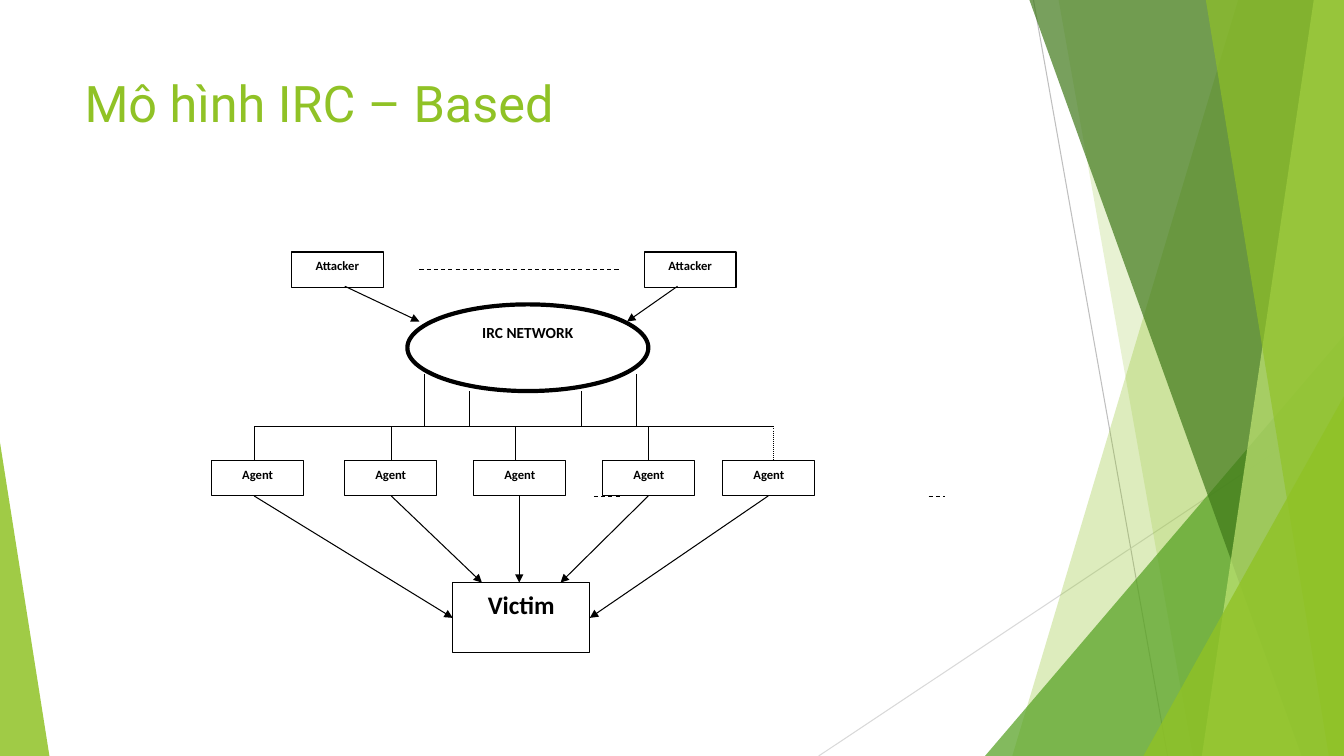
import pptx
import pptx.util
import pptx.dml.color
import pptx.enum.dml
import pptx.enum.shapes
import pptx.enum.text
import pptx.oxml.ns
import lxml.etree

Inches = pptx.util.Inches
Pt = pptx.util.Pt
RGBColor = pptx.dml.color.RGBColor
Shape = pptx.enum.shapes.MSO_SHAPE
Dash = pptx.enum.dml.MSO_LINE
qn = pptx.oxml.ns.qn

BLACK = RGBColor(0x00, 0x00, 0x00)
WHITE = RGBColor(0xFF, 0xFF, 0xFF)
GREY = RGBColor(0xBF, 0xBF, 0xBF)
PALE_GREY = RGBColor(0xD9, 0xD9, 0xD9)
LIME = RGBColor(0x90, 0xC2, 0x26)
GREEN = RGBColor(0x54, 0xA0, 0x21)
DARK_GREEN = RGBColor(0x3F, 0x78, 0x19)
LIGHT_LIME = RGBColor(0xC0, 0xE4, 0x74)

WIDTH, HEIGHT = 13.33, 7.5


class Painter:
    """Draws styled elements on the current page."""

    def __init__(self, page):
        self.page = page
        self.shapes = page.shapes

    def tint(self, shape, color, opacity):
        shape.shadow.inherit = False
        shape.fill.solid()
        shape.fill.fore_color.rgb = color
        shape.line.fill.background()
        swatch = shape.fill._xPr.find(qn("a:solidFill"))[0]
        lxml.etree.SubElement(swatch, qn("a:alpha"), val=str(opacity * 1000))

    def band(self, points, color, opacity):
        corners = [(Inches(x), Inches(y)) for x, y in points]
        builder = self.shapes.build_freeform(*corners[0], scale=1.0)
        builder.add_line_segments(corners[1:], close=True)
        self.tint(builder.convert_to_shape(), color, opacity)

    def triangle(self, left, top, width, apex, color, opacity):
        shape = self.shapes.add_shape(
            Shape.ISOSCELES_TRIANGLE, Inches(left), Inches(top),
            Inches(width), Inches(HEIGHT - top))
        shape.adjustments[0] = apex
        self.tint(shape, color, opacity)

    def line(self, x1, y1, x2, y2, color=BLACK, dash=None, arrow=False):
        connector = self.shapes.add_connector(
            pptx.enum.shapes.MSO_CONNECTOR.STRAIGHT,
            Inches(x1), Inches(y1), Inches(x2), Inches(y2))
        connector.line.color.rgb = color
        connector.line.width = Pt(0.75)
        if dash:
            connector.line.dash_style = dash
        properties = connector._element.spPr
        if arrow:
            outline = properties.find(qn("a:ln"))
            lxml.etree.SubElement(outline, qn("a:tailEnd"), type="triangle")
        lxml.etree.SubElement(properties, qn("a:effectLst"))

    def title(self, text, left, top, width, height):
        box = self.shapes.add_textbox(
            Inches(left), Inches(top), Inches(width), Inches(height))
        box.text_frame.word_wrap = True
        para = box.text_frame.paragraphs[0]
        para.text = text
        para.font.name = "Roboto"
        para.font.size = Pt(36)
        para.font.color.rgb = LIME

    def node(self, text, left, top, width, height, size=9,
             kind=Shape.RECTANGLE, weight=0.75):
        shape = self.shapes.add_shape(
            kind, Inches(left), Inches(top), Inches(width), Inches(height))
        shape.shadow.inherit = False
        shape.fill.solid()
        shape.fill.fore_color.rgb = WHITE
        shape.line.color.rgb = BLACK
        shape.line.width = Pt(weight)
        frame = shape.text_frame
        frame.word_wrap = True
        frame.vertical_anchor = pptx.enum.text.MSO_ANCHOR.TOP
        para = frame.paragraphs[0]
        para.text = text
        para.alignment = pptx.enum.text.PP_ALIGN.CENTER
        para.line_spacing = 1.07
        para.space_after = Pt(8)
        para.font.name = "Calibri"
        para.font.size = Pt(size)
        para.font.bold = True
        para.font.color.rgb = BLACK


deck = pptx.Presentation()
deck.slide_width = Inches(WIDTH)
deck.slide_height = Inches(HEIGHT)
painter = Painter(deck.slides.add_slide(deck.slide_layouts[6]))


def edge_band(top_x, bottom_x, color, opacity):
    """Fill from a slanted edge to the right side of the page."""
    painter.band([(top_x, 0), (WIDTH, 0), (WIDTH, HEIGHT), (bottom_x, HEIGHT)],
                 color, opacity)


painter.line(10.25, 0, 11.58, HEIGHT, GREY)
painter.line(WIDTH, 4.03, 8.12, HEIGHT, PALE_GREY)
edge_band(12.28, 10.04, LIME, 30)
edge_band(10.5, 11.83, LIME, 20)
painter.triangle(9.77, 3.33, 3.56, 1, GREEN, 72)
edge_band(10.21, 12.91, DARK_GREEN, 70)
edge_band(13.03, 11.92, LIGHT_LIME, 70)
edge_band(11.96, 13.18, LIME, 65)
painter.triangle(11.34, 3.93, 1.99, 1, LIME, 80)
painter.triangle(0, 4.39, 0.49, 0, LIME, 85)

painter.title("Mô hình IRC – Based", 0.74, 0.67, 9.4, 1.44)

BOX_WIDTH, BOX_HEIGHT = 0.91, 0.35
ATTACKER_TOP, BUS_Y, AGENT_TOP, VICTIM_TOP = 2.5, 4.23, 4.57, 5.78
AGENT_BOTTOM = AGENT_TOP + BOX_HEIGHT
VICTIM_SIDE = 6.13

for start, end in [(5.89, 6.15), (9.21, 9.37)]:
    painter.line(start, 4.93, end, 4.93, dash=Dash.DASH)

for left in (2.89, 6.39):
    painter.node("Attacker", left, ATTACKER_TOP, BOX_WIDTH, BOX_HEIGHT)
painter.line(4.16, 2.67, 6.14, 2.67, dash=Dash.DASH)

AGENTS = [
    (2.1, 2.52, None, 2.52, 4.49, VICTIM_SIDE),
    (3.42, 3.88, None, 3.88, 4.78, VICTIM_TOP),
    (4.7, 5.11, None, 5.15, 5.15, VICTIM_TOP),
    (5.98, 6.43, None, 6.43, 5.56, VICTIM_TOP),
    (7.17, 7.67, Dash.ROUND_DOT, 7.62, 5.85, VICTIM_SIDE),
]
painter.node("Victim", 4.49, VICTIM_TOP, 1.36, 0.69, size=18)
painter.line(2.52, BUS_Y, 7.67, BUS_Y)
for left, drop_x, dash, attack_x, target_x, target_y in AGENTS:
    painter.node("Agent", left, AGENT_TOP, BOX_WIDTH, BOX_HEIGHT)
    painter.line(drop_x, BUS_Y, drop_x, AGENT_TOP, dash=dash)
    painter.line(attack_x, AGENT_BOTTOM, target_x, target_y, arrow=True)

painter.node("IRC NETWORK", 4.04, 3.02, 2.39, 0.86, size=11,
             kind=Shape.OVAL, weight=3)
for start, end in [(3.42, 4.16), (6.72, 6.22)]:
    painter.line(start, 2.84, end, 3.19, arrow=True)
for x, top in [(4.21, 3.71), (4.66, 3.88), (5.77, 3.88), (6.31, 3.71)]:
    painter.line(x, top, x, BUS_Y)

deck.save("out.pptx")
